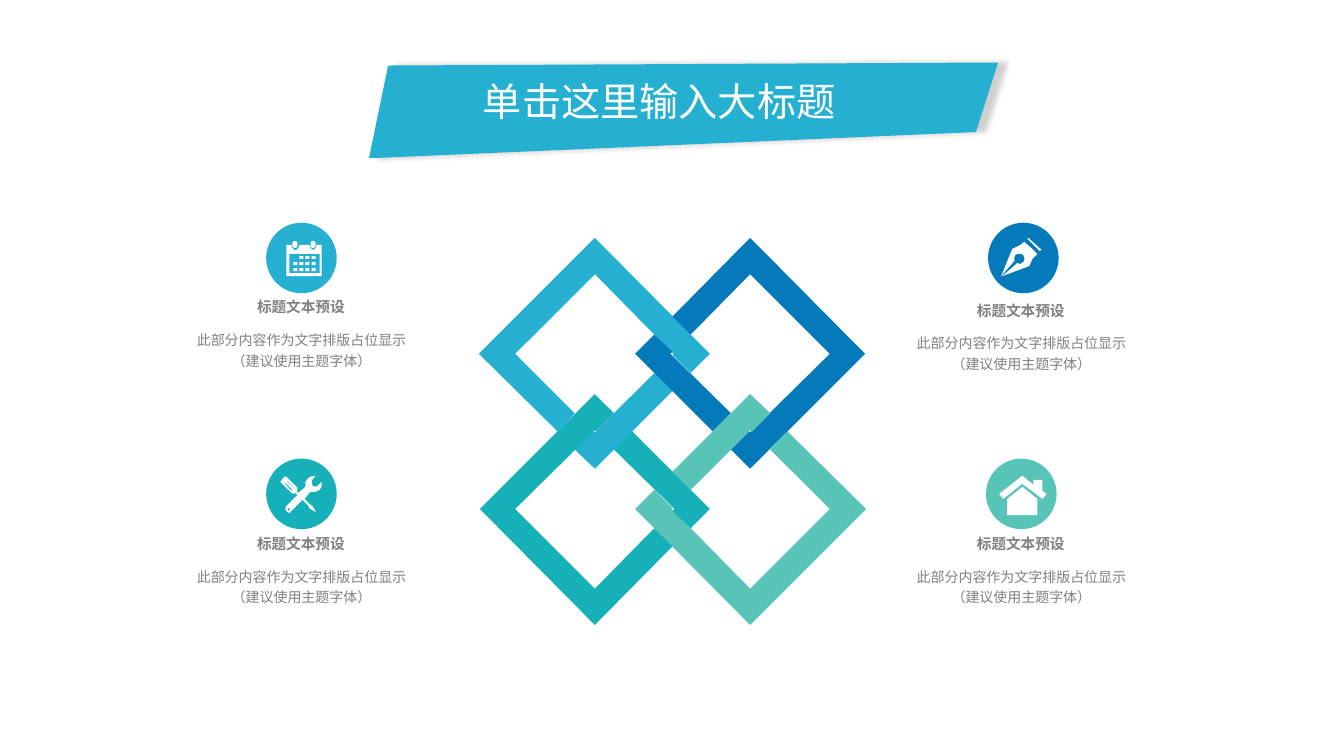
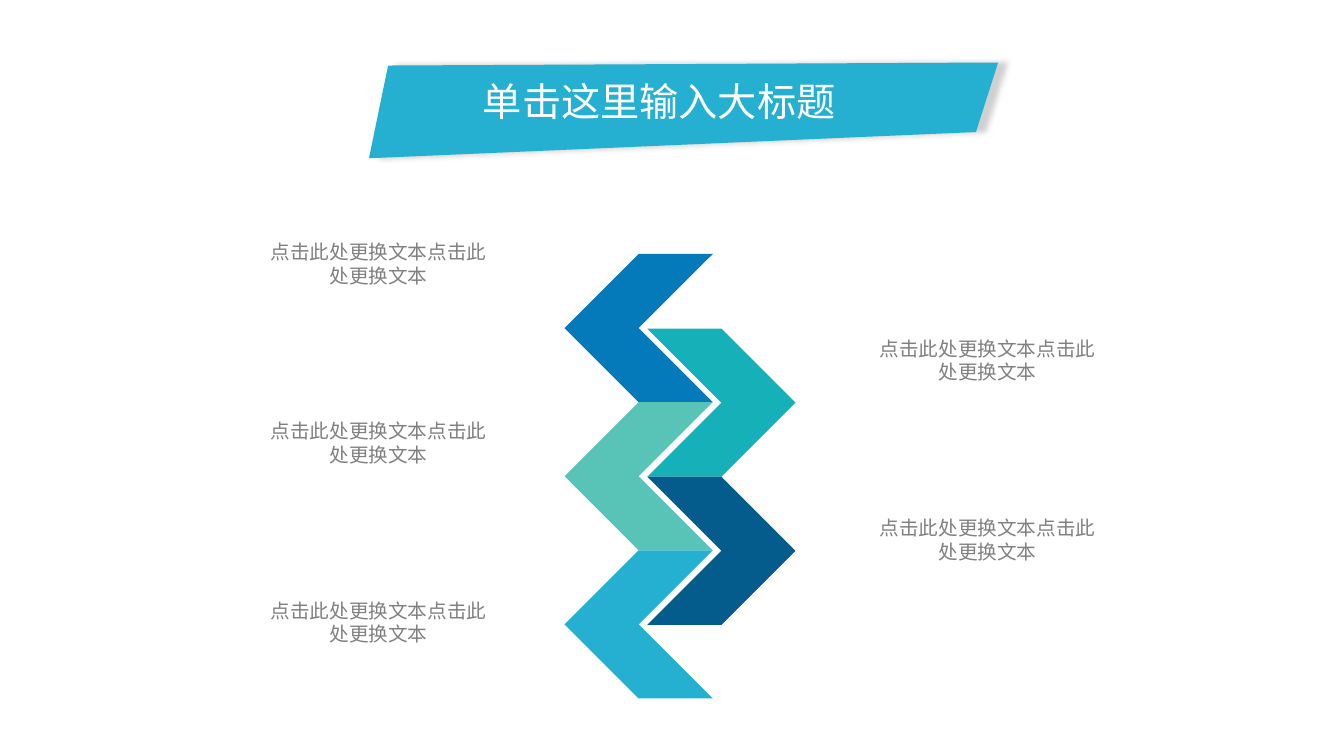
from dataclasses import dataclass
from typing import Callable

from lxml.etree import SubElement
from pptx import Presentation as Deck
from pptx.dml.color import RGBColor as Rgb
from pptx.enum.shapes import MSO_SHAPE as Kind
from pptx.enum.text import MSO_ANCHOR as Anchor, MSO_AUTO_SIZE as Fit, PP_ALIGN as Align
from pptx.oxml.ns import qn
from pptx.shapes.autoshape import Shape
from pptx.slide import Slide
from pptx.text.text import TextFrame as Frame
from pptx.util import Inches, Pt

Point = tuple[float, float]
Loop = list[Point]

HUES = {
    "sky": "25B0D2",
    "blue": "047ABA",
    "teal": "15B0B8",
    "mint": "58C4B8",
    "navy": "035C8B",
    "gray": "808080",
    "white": "FFFFFF",
    "black": "000000",
}
FONT = "Noto Sans CJK SC"
TITLE = "单击这里输入大标题"
LABEL = "标题文本预设"
BODY = "此部分内容作为文字排版占位显示\n（建议使用主题字体）"
NOTE = "点击此处更换文本点击此处更换文本"


# Shared drawing tools
def paint(shape: Shape, hue: str) -> Shape:
    shape.shadow.inherit = False
    shape.fill.solid()
    shape.fill.fore_color.rgb = Rgb.from_string(HUES[hue])
    shape.line.fill.background()
    return shape


def form(slide: Slide, kind: Kind, x: float, y: float, w: float, h: float, hue: str) -> Shape:
    shape = slide.shapes.add_shape(kind, Inches(x), Inches(y), Inches(w), Inches(h))
    return paint(shape, hue)


def poly(slide: Slide, hue: str, *loops: Loop) -> Shape:
    """Draw closed loops as one shape; an inner loop is a hole."""
    sets = [[(Inches(x), Inches(y)) for x, y in loop] for loop in loops]
    pen = slide.shapes.build_freeform(*sets[0][0])
    pen.add_line_segments(sets[0][1:], close=True)
    for first, *rest in sets[1:]:
        pen.move_to(*first)
        pen.add_line_segments(rest, close=True)
    return paint(pen.convert_to_shape(), hue)


def write(frame: Frame, text: str, size: float, hue: str, align: Align,
          bold: bool = False, space: float = 1.0) -> None:
    para = frame.paragraphs[0]
    para.alignment = align
    para.line_spacing = space
    for i, line in enumerate(text.split("\n")):
        if i:
            para.add_line_break()
        run = para.add_run()
        run.text = line
        font = run.font
        font.name, font.size, font.bold = FONT, Pt(size), bold
        font.color.rgb = Rgb.from_string(HUES[hue])
        SubElement(font._element, qn("a:ea"), typeface=FONT)


def box(slide: Slide, x: float, y: float, w: float, h: float,
        pad: Point = (0, 0), wrap: bool = True) -> Frame:
    frame = slide.shapes.add_textbox(Inches(x), Inches(y), Inches(w), Inches(h)).text_frame
    frame.word_wrap = wrap
    frame.margin_left = frame.margin_right = Inches(pad[0])
    frame.margin_top = frame.margin_bottom = Inches(pad[1])
    return frame


# Title on its band
def band(slide: Slide) -> None:
    shape = poly(slide, "sky", [(3.85, 0.65), (3.66, 1.57), (9.68, 1.31), (9.9, 0.62)])
    glow = shape.element.spPr.find(qn("a:effectLst"))
    cast = SubElement(glow, qn("a:outerShdw"), blurRad=str(Pt(4)), dist=str(Pt(6)),
                      dir="0", algn="l", rotWithShape="0")
    tint = SubElement(cast, qn("a:srgbClr"), val=HUES["black"])
    SubElement(tint, qn("a:alpha"), val="19000")
    slide.shapes.element.insert(2, shape.element)


def head(slide: Slide) -> None:
    band(slide)
    title = slide.shapes.title
    title.left, title.top = Inches(4.69), Inches(0.72)
    title.width, title.height = Inches(3.74), Inches(0.57)
    frame = title.text_frame
    frame.word_wrap = False
    frame.auto_size = Fit.SHAPE_TO_FIT_TEXT
    frame.vertical_anchor = Anchor.TOP
    write(frame, TITLE, 28, "white", Align.LEFT)


# Linked rings: the lower two are the upper two turned about the hub
HUB = (6.67, 4.28)
LEFT = [
    [(7.04, 3.51), (6.85, 3.7), (6.67, 3.52), (6.68, 3.51), (6.49, 3.32), (5.9, 2.72),
     (5.11, 3.51), (5.7, 4.1), (5.53, 4.28), (4.75, 3.51), (5.9, 2.36)],
    [(6.09, 4.1), (5.9, 4.29), (5.88, 4.28), (5.7, 4.46), (5.9, 4.65), (6.67, 3.88),
     (6.49, 3.7)],
]
RIGHT = [
    [(7.25, 4.1), (7.07, 4.28), (6.3, 3.51), (6.49, 3.32), (6.67, 3.49), (6.65, 3.51)],
    [(7.44, 2.36), (6.67, 3.14), (6.85, 3.32), (7.44, 2.72), (8.23, 3.51), (7.44, 4.29),
     (7.43, 4.28), (7.25, 4.46), (7.44, 4.65), (8.58, 3.51)],
]


def turn(loops: list[Loop]) -> list[Loop]:
    return [[(2 * HUB[0] - x, 2 * HUB[1] - y) for x, y in loop] for loop in loops]


def rings(slide: Slide) -> None:
    pairs = (("sky", LEFT), ("blue", RIGHT), ("mint", turn(LEFT)), ("teal", turn(RIGHT)))
    for hue, loops in pairs:
        poly(slide, hue, *loops)


# Icons
def dates(slide: Slide) -> None:
    poly(slide, "white",
         [(2.84, 2.43), (2.89, 2.43), (2.9, 2.46), (2.92, 2.48), (2.94, 2.48), (2.96, 2.46),
          (2.97, 2.43), (3.07, 2.43), (3.08, 2.46), (3.1, 2.48), (3.11, 2.48), (3.13, 2.46),
          (3.14, 2.43), (3.19, 2.43), (3.19, 2.74), (2.84, 2.74)],
         [(2.87, 2.52), (3.17, 2.52), (3.17, 2.71), (2.87, 2.71)])
    for x in (2.9, 3.08):
        clip = form(slide, Kind.ROUNDED_RECTANGLE, x, 2.39, 0.05, 0.07, "white")
        clip.adjustments[0] = 0.5
    for row in range(3):
        for col in range(4):
            if row or col:
                form(slide, Kind.RECTANGLE, 2.91 + 0.06 * col, 2.54 + 0.06 * row,
                     0.04, 0.03, "white")


def quill(slide: Slide) -> None:
    poly(slide, "white",
         [(10.24, 2.47), (10.16, 2.4), (10.12, 2.43), (10.04, 2.47), (9.93, 2.74),
          (10.06, 2.59), (10.06, 2.56), (10.07, 2.53), (10.09, 2.52), (10.13, 2.52),
          (10.15, 2.53), (10.16, 2.56), (10.16, 2.58), (10.15, 2.6), (10.12, 2.62),
          (10.09, 2.61), (9.94, 2.74), (10.21, 2.64), (10.24, 2.57), (10.29, 2.52)])
    poly(slide, "white", [(10.2, 2.36), (10.33, 2.48), (10.31, 2.49), (10.19, 2.37)])


def tools(slide: Slide) -> None:
    poly(slide, "white",
         [(2.78, 4.78), (2.82, 4.73), (2.84, 4.73), (2.95, 4.84), (2.95, 4.86), (2.94, 4.87),
          (2.96, 4.89), (3.03, 4.83), (3.03, 4.78), (3.05, 4.75), (3.08, 4.73), (3.13, 4.72),
          (3.09, 4.77), (3.1, 4.82), (3.14, 4.83), (3.19, 4.78), (3.19, 4.83), (3.17, 4.86),
          (3.13, 4.88), (3.08, 4.88), (3.02, 4.95), (3.08, 5.01), (3.1, 5.02), (3.13, 5.07),
          (3.13, 5.08), (3.08, 5.05), (3.06, 5.03), (3.07, 5.03), (3, 4.96), (2.89, 5.07),
          (2.87, 5.09), (2.84, 5.07), (2.83, 5.05), (2.84, 5.02), (2.95, 4.91), (2.93, 4.89),
          (2.92, 4.9), (2.89, 4.89), (2.8, 4.8)],
         [(2.86, 5.04), (2.85, 5.05), (2.86, 5.07), (2.88, 5.05)],
         [(2.91, 4.84), (2.92, 4.84), (2.85, 4.77), (2.84, 4.77)],
         [(2.89, 4.87), (2.9, 4.86), (2.83, 4.79), (2.82, 4.79)])


def house(slide: Slide) -> None:
    poly(slide, "white",
         [(9.99, 4.95), (9.99, 5.11), (10.29, 5.11), (10.29, 4.95), (10.14, 4.83)])
    poly(slide, "white",
         [(10.34, 4.87), (10.34, 4.76), (10.25, 4.76), (10.25, 4.81), (10.14, 4.72),
          (9.91, 4.9), (9.95, 4.95), (10.14, 4.8), (10.34, 4.95), (10.38, 4.9)])


# Cards around the rings
@dataclass(frozen=True)
class Card:
    x: float
    y: float
    left: float
    top: float
    hue: str
    icon: Callable[[Slide], None]


CARDS = (
    Card(2.64, 2.21, 2.25, 2.91, "sky", dates),
    Card(9.8, 2.21, 9.39, 2.94, "blue", quill),
    Card(2.64, 4.55, 2.25, 5.26, "teal", tools),
    Card(9.78, 4.55, 9.39, 5.26, "mint", house),
)


def show(slide: Slide, card: Card) -> None:
    form(slide, Kind.FLOWCHART_CONNECTOR, card.x, card.y, 0.7, 0.7, card.hue)
    card.icon(slide)
    label = box(slide, card.left, card.top, 1.47, 0.35, (0.1, 0.05), False)
    write(label, LABEL, 10.5, "gray", Align.CENTER, bold=True)
    body = box(slide, card.left - 0.41, card.top + 0.35, 2.3, 0.83)
    write(body, BODY, 10, "gray", Align.CENTER, space=1.2)


# Zigzag of chevrons with a note beside each
@dataclass(frozen=True)
class Stack:
    x: float
    y: float
    hues: tuple[str, ...]
    flip: bool
    left: float
    top: float


STACKS = (
    Stack(6.42, 3.26, ("teal", "navy"), False, 8.57, 3.34),
    Stack(5.6, 2.52, ("blue", "mint", "sky"), True, 2.53, 2.38),
)
SIDE, STEP = 1.47, 1.78


def zigzag(slide: Slide, stack: Stack) -> None:
    for i, hue in enumerate(stack.hues):
        arrow = form(slide, Kind.CHEVRON, stack.x, stack.y + i * SIDE, SIDE, SIDE, hue)
        if stack.flip:
            arrow.element.spPr.find(qn("a:xfrm")).set("flipH", "1")
        note = box(slide, stack.left, stack.top + i * STEP, 2.45, 0.61, (0.1, 0))
        write(note, NOTE, 14, "gray", Align.CENTER)


# Build the deck
deck = Deck()
deck.slide_width, deck.slide_height = Inches(13.33), Inches(7.5)
links, steps = (deck.slides.add_slide(deck.slide_layouts[5]) for _ in range(2))
for page in (links, steps):
    head(page)

rings(links)
for card in CARDS:
    show(links, card)
for stack in STACKS:
    zigzag(steps, stack)

deck.save("out.pptx")
